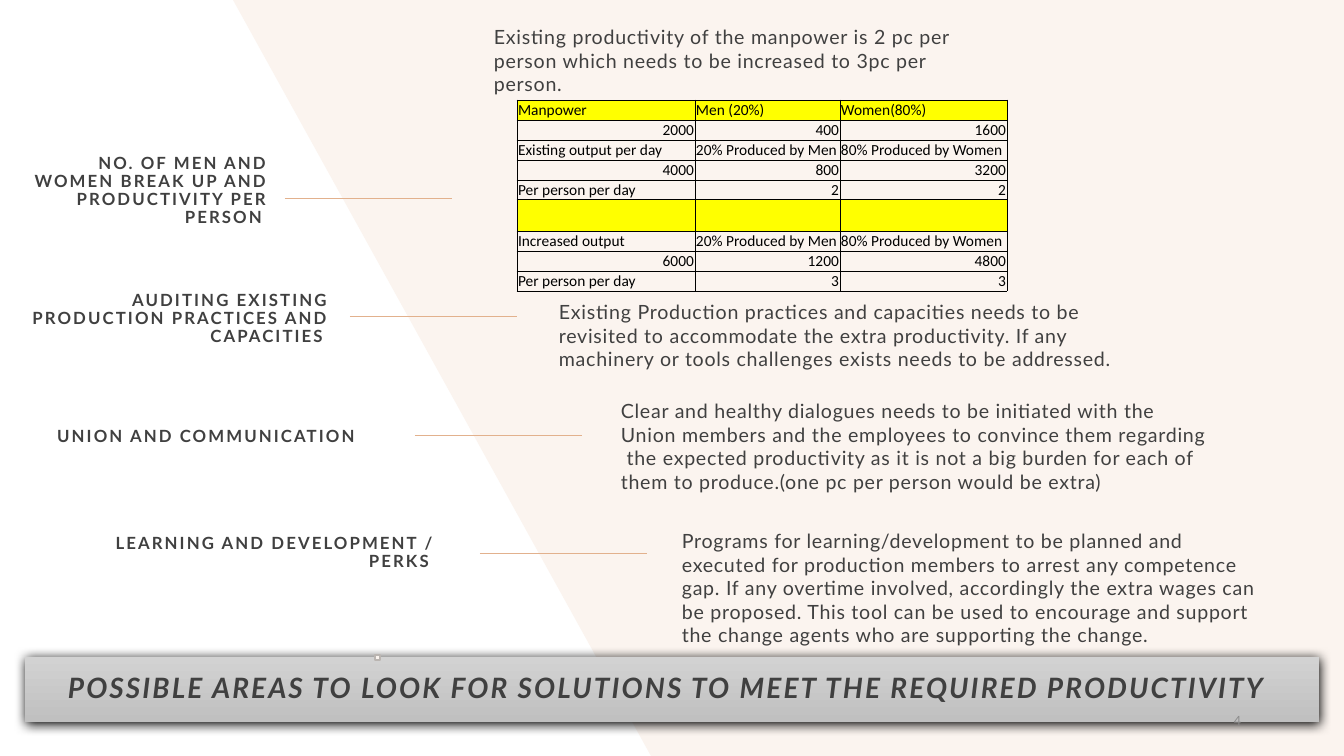
from lxml.etree import SubElement
from pptx import Presentation
from pptx.dml.color import RGBColor
from pptx.enum.shapes import MSO_CONNECTOR as Connector, MSO_SHAPE as Shape
from pptx.enum.text import MSO_ANCHOR as Anchor, PP_ALIGN as Align
from pptx.oxml.ns import qn
from pptx.util import Pt

PX = 914400 / 100.8
SLIDE_SIZE = (1344, 756)

WHITE = RGBColor(0xFF, 0xFF, 0xFF)
CREAM = RGBColor(0xFB, 0xF4, 0xEF)
PEACH = RGBColor(0xE2, 0xB1, 0x8D)
DARK = RGBColor(0x40, 0x40, 0x40)
GREY = RGBColor(0x8C, 0x8C, 0x8C)
BLACK = RGBColor(0, 0, 0)
YELLOW = RGBColor(0xFF, 0xFF, 0)
BAR_TOP = RGBColor(0xD2, 0xD2, 0xD2)
BAR_BOTTOM = RGBColor(0xC0, 0xC0, 0xC0)
MARK_LINE = RGBColor(0xBA, 0xB5, 0xB1)

TITLE = "POSSIBLE AREAS TO LOOK FOR SOLUTIONS TO MEET THE REQUIRED PRODUCTIVITY"
TITLE_BOX = (25, 657, 1294, 65)
TITLE_INDENT = 33
BACKDROP = [(651, 756), (233, 0), (1344, 0), (1344, 756)]
MARK_BOX = (375, 655, 5, 5)
NUMBER_BOX = (1191, 700, 60, 40)

LABELS = [
    ("NO. OF MEN AND WOMEN BREAK UP AND PRODUCTIVITY PER PERSON ", (13, 140, 265, 102)),
    ("AUDITING EXISTING PRODUCTION PRACTICES AND CAPACITIES ", (6, 282, 333, 74)),
    ("UNION AND COMMUNICATION", (40, 409, 325, 56)),
    ("LEARNING AND DEVELOPMENT / PERKS ", (52, 525, 393, 56)),
]
DETAILS = [
    ("Existing productivity of the manpower is 2 pc per person which needs to be "
     "increased to 3pc per person.", (484, 20, 515, 269)),
    ("Existing Production practices and capacities needs to be revisited to accommodate "
     "the extra productivity. If any machinery or tools challenges exists needs to be "
     "addressed.", (549, 295, 611, 91)),
    ("Clear and healthy dialogues needs to be initiated with the Union members and the "
     "employees to convince them regarding  the expected productivity as it is not a big "
     "burden for each of them to produce.(one pc per person would be extra)",
     (611, 394, 611, 112)),
    ("Programs for learning/development to be planned and executed for production members "
     "to arrest any competence gap. If any overtime involved, accordingly the extra wages "
     "can be proposed. This tool can be used to encourage and support the change agents "
     "who are supporting the change.", (672, 524, 611, 133)),
]
RULE_START = (285, 198)
RULE_STEP = (65, 118.5)
RULE_LENGTH = 167

TABLE_ORIGIN = (517, 100)
COLUMN_WIDTHS = (178, 145, 167)
ROW_HEIGHT = 20
ROWS = [
    ("Manpower", "Men (20%)", "Women(80%)"),
    ("2000", "400", "1600"),
    ("Existing output per day", "20% Produced by Men", "80% Produced by Women"),
    ("4000", "800", "3200"),
    ("Per person per day", "2", "2"),
    ("", "", ""),
    ("Increased output", "20% Produced by Men", "80% Produced by Women"),
    ("6000", "1200", "4800"),
    ("Per person per day", "3", "3"),
]
YELLOW_ROWS = (0, 5)

TITLE_FONT = {"name": "Lato", "size": Pt(20), "bold": True, "italic": True}
LABEL_FONT = {"name": "Lato", "size": Pt(12), "bold": True}
DETAIL_FONT = {"name": "Lato", "size": Pt(14)}
NUMBER_FONT = {"name": "Lato", "size": Pt(9)}
CELL_FONT = {"name": "Calibri", "size": Pt(11)}


def emu(*lengths):
    return [round(length * PX) for length in lengths]


def set_all(target, values):
    for name, value in values.items():
        setattr(target, name, value)


def write(frame, text, font, color, layout, anchor=Anchor.MIDDLE, tracking=0):
    set_all(frame, {"word_wrap": True, "vertical_anchor": anchor})
    paragraph = frame.paragraphs[0]
    set_all(paragraph, layout)
    run = paragraph.add_run()
    run.text = text
    set_all(run.font, font)
    run.font.color.rgb = color
    if tracking:
        run._r.get_or_add_rPr().set("spc", str(tracking))
    return paragraph


def add_text(shapes, box, *args, **options):
    write(shapes.add_textbox(*emu(*box)).text_frame, *args, **options)


def add_backdrop(shapes):
    points = [tuple(emu(*point)) for point in BACKDROP]
    builder = shapes.build_freeform(*points[0])
    builder.add_line_segments(points[1:], close=True)
    backdrop = builder.convert_to_shape()
    backdrop.shadow.inherit = False
    backdrop.fill.solid()
    backdrop.fill.fore_color.rgb = CREAM
    backdrop.line.fill.background()


def add_rule(shapes, index):
    x, y = (start + step * index for start, step in zip(RULE_START, RULE_STEP))
    rule = shapes.add_connector(Connector.STRAIGHT, *emu(x, y, x + RULE_LENGTH, y))
    rule.line.color.rgb = PEACH
    rule.line.width = Pt(0.5)
    SubElement(rule._element.spPr, qn("a:effectLst"))


def add_title(shapes):
    bar = shapes.add_shape(Shape.RECTANGLE, *emu(*TITLE_BOX))
    bar.line.fill.background()
    bar.fill.gradient()
    bar.fill.gradient_angle = 270
    for stop, color in zip(bar.fill.gradient_stops, (BAR_TOP, BAR_BOTTOM)):
        stop.color.rgb = color
    bar.shadow.inherit = False
    effects = bar._element.spPr.find(qn("a:effectLst"))
    shadow = SubElement(effects, qn("a:outerShdw"), blurRad=str(Pt(8.5)),
                        dist=str(Pt(1)), dir="5400000", rotWithShape="0")
    SubElement(shadow, qn("a:srgbClr"), val=str(BLACK))
    paragraph = write(bar.text_frame, TITLE, TITLE_FONT, DARK,
                      {"alignment": Align.LEFT, "line_spacing": 0.9}, tracking=150)
    paragraph._p.get_or_add_pPr().set("indent", str(*emu(TITLE_INDENT)))


def add_borders(cell):
    properties = cell._tc.get_or_add_tcPr()
    for side in ("lnL", "lnR", "lnT", "lnB"):
        line = SubElement(properties, qn(f"a:{side}"), w=str(Pt(0.5)))
        fill = SubElement(line, qn("a:solidFill"))
        SubElement(fill, qn("a:srgbClr"), val=str(BLACK))


def add_manpower_table(shapes):
    size = (sum(COLUMN_WIDTHS), ROW_HEIGHT * len(ROWS))
    table = shapes.add_table(len(ROWS), len(COLUMN_WIDTHS),
                             *emu(*TABLE_ORIGIN, *size)).table
    set_all(table, {"first_row": False, "horz_banding": False})
    for column, width in zip(table.columns, emu(*COLUMN_WIDTHS)):
        column.width = width
    inset, = emu(1)
    for row_index, values in enumerate(ROWS):
        for column_index, text in enumerate(values):
            cell = table.cell(row_index, column_index)
            set_all(cell, {"margin_left": inset, "margin_right": inset,
                           "margin_top": inset, "margin_bottom": 0,
                           "vertical_anchor": Anchor.BOTTOM})
            add_borders(cell)
            if row_index in YELLOW_ROWS:
                cell.fill.solid()
                cell.fill.fore_color.rgb = YELLOW
            else:
                cell.fill.background()
            alignment = Align.RIGHT if text.isdigit() else Align.LEFT
            write(cell.text_frame, text, CELL_FONT, BLACK, {"alignment": alignment},
                  anchor=Anchor.BOTTOM)


def add_mark(shapes):
    mark = shapes.add_shape(Shape.RECTANGLE, *emu(*MARK_BOX))
    mark.shadow.inherit = False
    mark.fill.solid()
    mark.fill.fore_color.rgb = CREAM
    mark.line.color.rgb = MARK_LINE
    mark.line.width = Pt(1)


def main():
    presentation = Presentation()
    presentation.slide_width, presentation.slide_height = emu(*SLIDE_SIZE)
    slide = presentation.slides.add_slide(presentation.slide_layouts[6])
    slide.background.fill.solid()
    slide.background.fill.fore_color.rgb = WHITE
    shapes = slide.shapes
    add_backdrop(shapes)
    for index in range(len(LABELS)):
        add_rule(shapes, index)
    add_title(shapes)
    for text, box in LABELS:
        add_text(shapes, box, text, LABEL_FONT, DARK,
                 {"alignment": Align.RIGHT, "line_spacing": 0.9, "space_before": Pt(10)},
                 tracking=150)
    for text, box in DETAILS:
        add_text(shapes, box, text, DETAIL_FONT, DARK, {"space_before": Pt(10)},
                 anchor=Anchor.TOP, tracking=50)
    add_text(shapes, NUMBER_BOX, "4", NUMBER_FONT, GREY, {"alignment": Align.RIGHT})
    add_manpower_table(shapes)
    add_mark(shapes)
    presentation.save("out.pptx")


if __name__ == "__main__":
    main()
